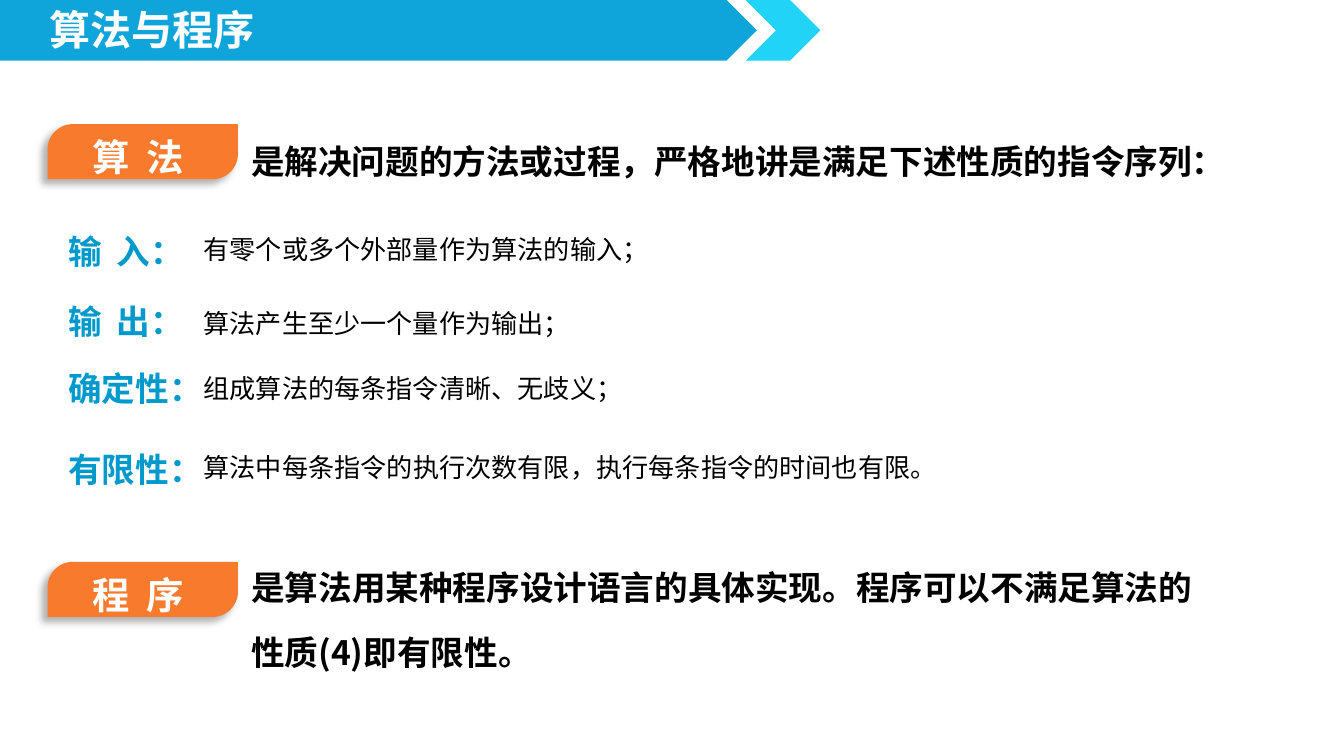
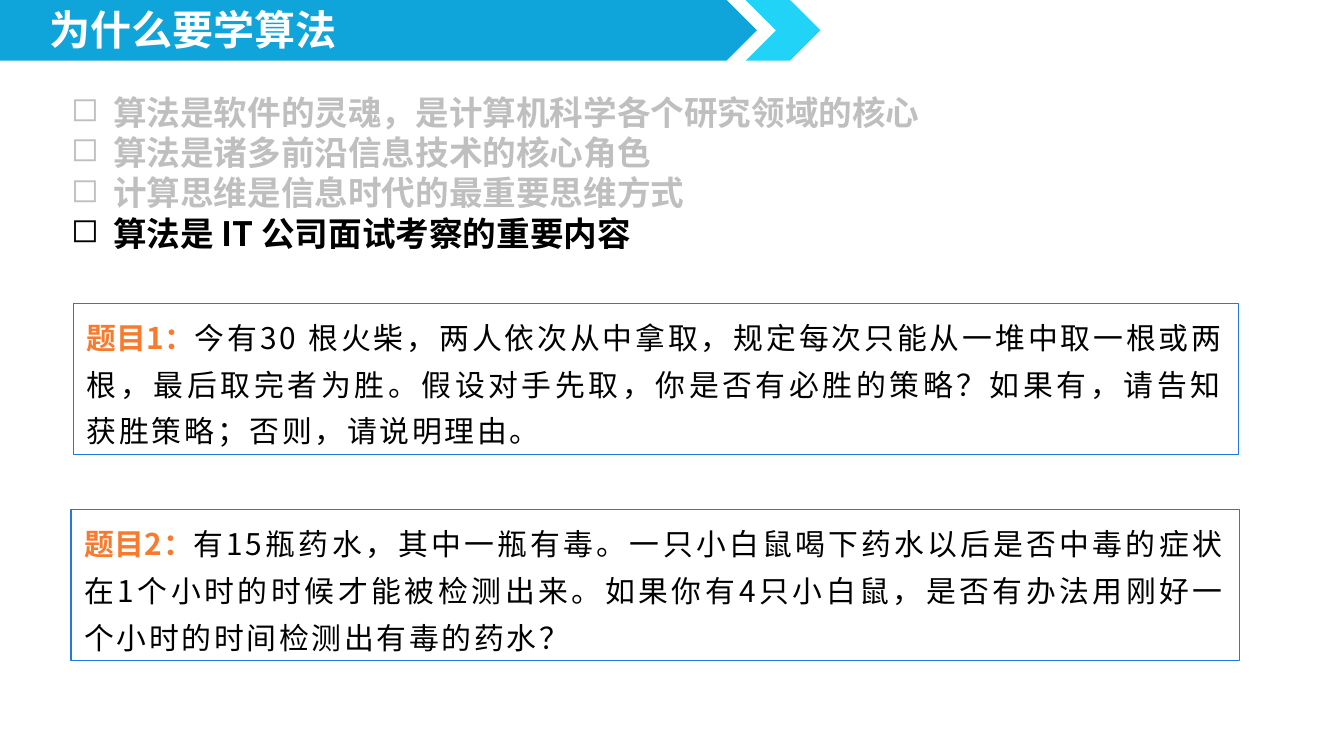
from dataclasses import dataclass
from typing import Optional

from lxml.etree import SubElement
from pptx import Presentation
from pptx.dml.color import RGBColor
from pptx.enum.shapes import MSO_SHAPE as Kind
from pptx.enum.text import MSO_ANCHOR as Anchor, MSO_AUTO_SIZE as Fit, PP_ALIGN as Align
from pptx.oxml.ns import qn
from pptx.util import Pt

FONT = "Noto Sans CJK SC"
BLUE, CYAN, ORANGE, TEAL = "10A5DA", "21D3F7", "F77A2D", "0099CC"
EDGE, GREY, BLACK, WHITE = "1F7BE1", "BFBFBF", "000000", "FFFFFF"


@dataclass
class Box:
    left: float
    top: float
    width: float
    height: float


@dataclass
class Span:
    text: str
    size: float
    hue: str = BLACK
    bold: bool = False
    track: float = 0


@dataclass
class Term:
    name: str
    top: float
    width: float
    text: str
    low: float
    span: float = 343


@dataclass
class Topic:
    name: str
    top: float
    text: str
    body: Box


@dataclass
class Quiz:
    name: str
    text: str
    box: Box


TERMS = [
    Term("输 入：", 109.5, 80, "有零个或多个外部量作为算法的输入；", 111.5),
    Term("输 出：", 147, 80, "算法产生至少一个量作为输出；", 151),
    Term("确定性：", 183, 87, "组成算法的每条指令清晰、无歧义；", 186),
    Term("有限性：", 226, 87, "算法中每条指令的执行次数有限，执行每条指令的时间也有限。", 228, 461.5),
]
TOPICS = [
    Topic("算 法", 66.5, "是解决问题的方法或过程，严格地讲是满足下述性质的指令序列：",
          Box(127.5, 59, 557, 42.5)),
    Topic("程 序", 301, "是算法用某种程序设计语言的具体实现。程序可以不满足算法的性质(4)即有限性。",
          Box(127.5, 287.5, 527, 77)),
]
POINTS = [
    ("算法是软件的灵魂，是计算机科学各个研究领域的核心", GREY),
    ("算法是诸多前沿信息技术的核心角色", GREY),
    ("计算思维是信息时代的最重要思维方式", GREY),
    ("算法是 IT 公司面试考察的重要内容", BLACK),
]
QUIZZES = [
    Quiz("题目1：", "今有30 根火柴，两人依次从中拿取，规定每次只能从一堆中取一根或两根，"
         "最后取完者为胜。假设对手先取，你是否有必胜的策略？如果有，请告知获胜策略；"
         "否则，请说明理由。", Box(39.5, 162.5, 624, 81)),
    Quiz("题目2：", "有15瓶药水，其中一瓶有毒。一只小白鼠喝下药水以后是否中毒的症状在1个小时"
         "的时候才能被检测出来。如果你有4只小白鼠，是否有办法用刚好一个小时的时间"
         "检测出有毒的药水？", Box(38, 273, 626, 81)),
]


def tint(code: str) -> RGBColor:
    return RGBColor.from_string(code)


def frame(box: Box) -> tuple:
    return Pt(box.left), Pt(box.top), Pt(box.width), Pt(box.height)


def style(run, span: Span) -> None:
    font = run.font
    font.name, font.size, font.bold = FONT, Pt(span.size), span.bold
    font.color.rgb = tint(span.hue)
    props = run._r.get_or_add_rPr()
    SubElement(props, qn("a:ea")).set("typeface", FONT)
    if span.track:
        props.set("spc", str(round(span.track * 100)))


def write(para, spans: list[Span], gap=None) -> None:
    if gap:
        para.line_spacing = gap
    for span in spans:
        run = para.add_run()
        run.text = span.text
        style(run, span)


def spread(text: str, size: float, hue: str) -> list[Span]:
    head, space, tail = text.partition(" ")
    if not space:
        return [Span(text, size, hue, True)]
    return [Span(head + space, size, hue, True, size / 9), Span(tail, size, hue, True)]


def label(slide, box: Box, spans: list[Span], gap: Optional[float] = None, wrap: bool = True):
    text = slide.shapes.add_textbox(*frame(box)).text_frame
    text.word_wrap = wrap
    text.auto_size = Fit.SHAPE_TO_FIT_TEXT
    write(text.paragraphs[0], spans, gap)
    return text


def block(slide, kind, box: Box, fill: Optional[str] = None, edge: Optional[str] = None):
    shape = slide.shapes.add_shape(kind, *frame(box))
    shape.shadow.inherit = False
    if fill:
        shape.fill.solid()
        shape.fill.fore_color.rgb = tint(fill)
    else:
        shape.fill.background()
    if edge:
        shape.line.color.rgb = tint(edge)
        shape.line.width = Pt(0.75)
    else:
        shape.line.fill.background()
    return shape


def shade(shape) -> None:
    effect = shape.element.spPr.find(qn("a:effectLst"))
    cast = SubElement(effect, qn("a:outerShdw"), blurRad=str(Pt(4)), dist=str(Pt(4)),
                      dir=str(135 * 60000), algn="tr", rotWithShape="0")
    color = SubElement(cast, qn("a:srgbClr"), val=BLACK)
    SubElement(color, qn("a:alpha"), val="29000")


def band(slide, layout) -> None:
    parts = [
        block(slide, Kind.PENTAGON, Box(0, 0, 405.5, 32.5), BLUE),
        block(slide, Kind.CHEVRON, Box(399.5, 0, 40, 32.5), CYAN),
    ]
    for spot, part in enumerate(parts, 2):
        layout.shapes.element.insert(spot, part.element)


def head(deck, layout, text: str, width: float):
    slide = deck.slides.add_slide(layout)
    title = slide.shapes.title
    title.left, title.top, title.width, title.height = frame(Box(19.5, 4, width, 29))
    body = title.text_frame
    body.text = text
    body.word_wrap = False
    body.auto_size = Fit.SHAPE_TO_FIT_TEXT
    body.vertical_anchor = Anchor.TOP
    para = body.paragraphs[0]
    para.alignment = Align.LEFT
    para.line_spacing = 0.8
    para.space_before = Pt(0)
    style(para.runs[0], Span(text, 22, WHITE, True))
    return slide


def topic(slide, item: Topic) -> None:
    label(slide, item.body, [Span(item.text, 18, BLACK, True)], 1.6)
    tag = block(slide, Kind.ROUND_2_DIAG_RECTANGLE, Box(25.5, item.top, 102, 29.5), ORANGE)
    tag.adjustments[0] = 0.46
    tag.adjustments[1] = 0
    shade(tag)
    label(slide, Box(42.5, item.top - 10, 67, 39.5), spread(item.name, 20, WHITE), 1.5, False)


def term(slide, item: Term) -> None:
    label(slide, Box(29.5, item.top, item.width, 36), spread(item.name, 18, TEAL), 1.5, False)
    label(slide, Box(102, item.low, item.span, 34.5), [Span(item.text, 14)], 1.6)


def points(slide) -> None:
    text = label(slide, Box(31, 45.5, 474, 94.5), [], wrap=False)
    for spot, (line, hue) in enumerate(POINTS):
        para = text.add_paragraph() if spot else text.paragraphs[0]
        props = para._p.get_or_add_pPr()
        props.set("marL", str(Pt(22.5)))
        props.set("indent", str(Pt(-22.5)))
        SubElement(props, qn("a:buChar"), char="◻")
        write(para, [Span(line, 18, hue, True)])


def quiz(slide, item: Quiz) -> None:
    text = block(slide, Kind.RECTANGLE, item.box, edge=EDGE).text_frame
    text.word_wrap = True
    text.auto_size = Fit.SHAPE_TO_FIT_TEXT
    para = text.paragraphs[0]
    para.alignment = Align.JUSTIFY
    write(para, [Span(item.name, 16, ORANGE, True), Span(item.text, 16, track=1.5)], Pt(25))


def main() -> None:
    deck = Presentation()
    deck.slide_width, deck.slide_height = Pt(720), Pt(405)
    layout = deck.slide_layouts[5]

    slide = head(deck, layout, "算法与程序", 125)
    band(slide, layout)
    first, last = TOPICS
    topic(slide, first)
    for item in TERMS:
        term(slide, item)
    topic(slide, last)

    slide = head(deck, layout, "为什么要学算法", 170)
    points(slide)
    for item in QUIZZES:
        quiz(slide, item)

    deck.save("out.pptx")


if __name__ == "__main__":
    main()
